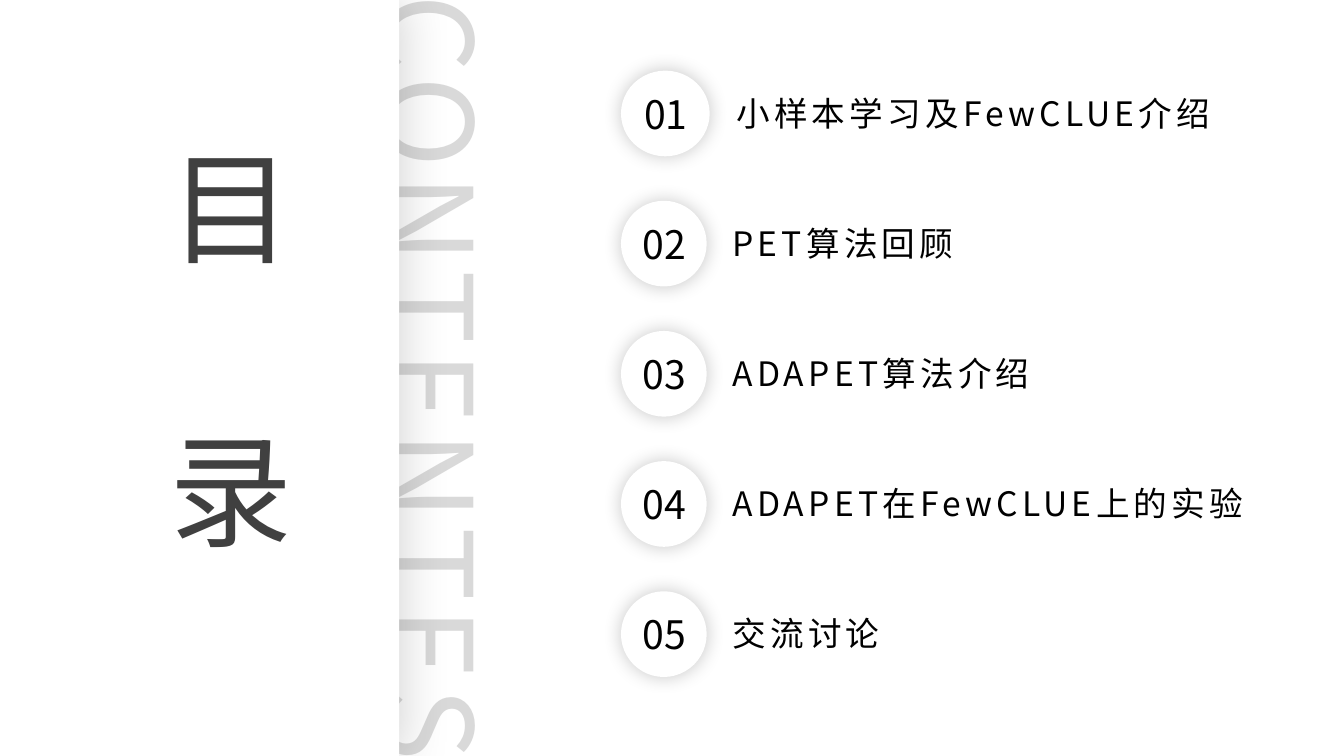
from lxml import etree
from pptx import Presentation
from pptx.dml.color import RGBColor
from pptx.enum import shapes, text
from pptx.oxml.ns import qn
from pptx.util import Cm, Pt

FONT = "Noto Sans CJK SC"
BLACK, WHITE, DARK, PALE = "000000", "FFFFFF", "404040", "D9D9D9"
# Agenda entries: label, label width in cm, horizontal stretch of the badge
ENTRIES = [
    ("小样本学习及FewCLUE介绍", 14.4, 1.035),
    ("PET算法回顾", 10.69, 1),
    ("ADAPET算法介绍", 10.69, 1),
    ("ADAPET在FewCLUE上的实验", 14.22, 1),
    ("交流讨论", 10.69, 1),
]
ROW_PITCH = 3.28


def color(hex_string):
    return RGBColor.from_string(hex_string)


def add_text(parent, words, x, y, w, h, size, ink, centered=True, spacing=0):
    sp = parent.add_textbox(Cm(x), Cm(y), Cm(w), Cm(h))
    tf = sp.text_frame
    tf.word_wrap = True
    tf.auto_size = text.MSO_AUTO_SIZE.SHAPE_TO_FIT_TEXT
    p = tf.paragraphs[0]
    p.text = words
    p.alignment = text.PP_ALIGN.CENTER if centered else text.PP_ALIGN.LEFT
    font = p.font
    font.name, font.size, font.color.rgb = FONT, Pt(size), color(ink)
    # East Asian typeface and letter spacing
    props = p._p.pPr.find(qn("a:defRPr"))
    etree.SubElement(props, qn("a:ea"), typeface=FONT)
    if spacing:
        props.set("spc", str(spacing * 100))
    return sp


def add_white_shape(parent, kind, x, y, w, h, blur, distance, opacity):
    sp = parent.add_shape(kind, Cm(x), Cm(y), Cm(w), Cm(h))
    sp.fill.solid()
    sp.fill.fore_color.rgb = color(WHITE)
    sp.line.fill.background()
    # Soft outer shadow
    sp.shadow.inherit = False
    effects = sp._element.spPr.find(qn("a:effectLst"))
    shadow = etree.SubElement(effects, qn("a:outerShdw"), blurRad=str(Pt(blur)),
                              dist=str(Pt(distance)), dir="0", algn="ctr",
                              rotWithShape="0")
    tint = etree.SubElement(shadow, qn("a:srgbClr"), val=BLACK)
    etree.SubElement(tint, qn("a:alpha"), val=str(opacity * 1000))


def title_panel(slide, x, y, w, h):
    # Vertical word, partly covered by the panel
    word = add_text(slide.shapes, "CONTENTES", x - 2.24, y + 7.52, 26.26, 4.01,
                    88, PALE, spacing=5)
    word.rotation = 90
    add_white_shape(slide.shapes, shapes.MSO_SHAPE.RECTANGLE, x, y, w, h, 36, 3, 16)
    for i, character in enumerate("目录"):
        add_text(slide.shapes, character, x + 4.01, y + 3.18 + i * 7.13,
                 2.06, 4.01, 88, DARK)


def agenda_row(slide, number, label, x, y, label_width, stretch):
    group = slide.shapes.add_group_shape().shapes
    add_white_shape(group, shapes.MSO_SHAPE.OVAL, x + 0.21, y,
                    2.16 * stretch, 2.16, 14, 0, 22)
    add_text(group, f"{number:02}", x, y + 0.36, 2.59 * stretch, 1.45, 28, BLACK)
    add_text(group, label, x + 2.77 * stretch, y + 0.43, label_width, 1.27,
             24, BLACK, centered=False, spacing=3)


def agenda(slide, x, y):
    for i, (label, width, stretch) in enumerate(ENTRIES):
        agenda_row(slide, i + 1, label, x, y + i * ROW_PITCH, width, stretch)


def main():
    prs = Presentation()
    prs.slide_width, prs.slide_height = Cm(33.87), Cm(19.05)
    slide = prs.slides.add_slide(prs.slide_layouts[6])
    title_panel(slide, 0, 0, 10.06, 19.05)
    agenda(slide, 15.44, 1.78)
    prs.save("out.pptx")


if __name__ == "__main__":
    main()
